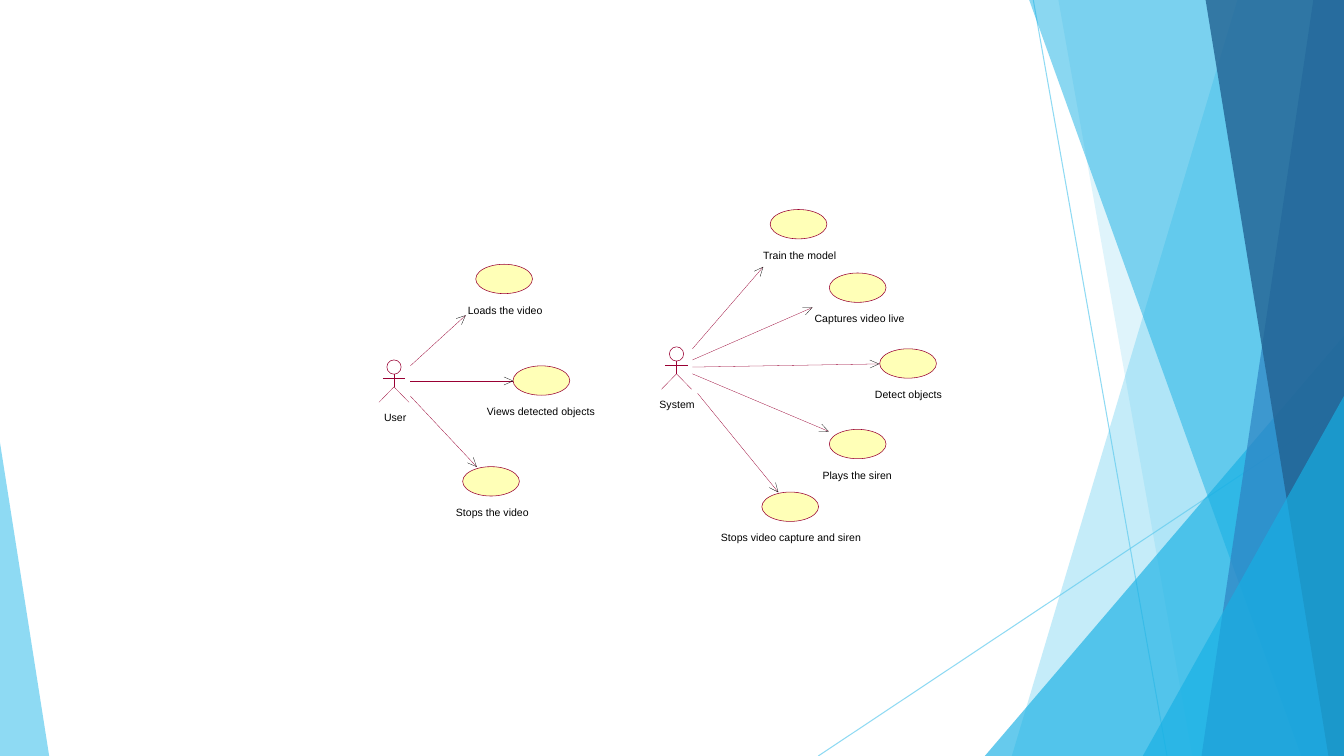
"""Build a use-case diagram slide with a faceted blue border."""
import math
from dataclasses import dataclass

import pptx
import pptx.dml.color
import pptx.enum.shapes
import pptx.oxml
import pptx.oxml.ns
import pptx.util
from pptx.util import Cm

Point = tuple[float, float]


@dataclass(frozen=True)
class Theme:
    sky: str = "5FCBEF"
    azure: str = "17B0E4"
    blue: str = "2E83C3"
    navy: str = "226292"
    outline: str = "990033"
    oval: str = "FFFFB7"
    ink: str = "000000"
    font: str = "Arial"
    label_size: float = 7.5
    thin: float = 0.2
    outline_width: float = 0.4
    border_line: float = 0.75


@dataclass(frozen=True)
class Band:
    top_x: float
    bottom_x: float
    color: str
    opacity: int


@dataclass(frozen=True)
class Wedge:
    left: float
    top: float
    width: float
    apex: float
    color: str
    opacity: int


@dataclass(frozen=True)
class UseCase:
    name: str
    left: float
    top: float
    label_left: float
    label_width: float
    start: Point
    tip: Point


@dataclass(frozen=True)
class Actor:
    name: str
    center: float
    top: float
    label_left: float
    label_width: float


THEME = Theme()
WIDTH, HEIGHT = 33.87, 19.05
BORDER_LINES: list[tuple[Point, Point]] = [
    ((26.04, 0), (29.41, HEIGHT)),
    ((WIDTH, 10.24), (20.62, HEIGHT)),
]
FACETS: list[Band | Wedge] = [
    Band(31.19, 25.50, THEME.sky, 36),
    Band(26.67, 30.05, THEME.sky, 20),
    Wedge(24.82, 8.46, 9.05, 1, THEME.azure, 66),
    Band(25.93, 32.79, THEME.azure, 50),
    Band(33.10, 30.28, THEME.blue, 70),
    Band(30.38, 33.48, THEME.navy, 80),
    Wedge(28.80, 9.98, 5.07, 1, THEME.azure, 66),
    Wedge(0, 11.15, 1.24, 0, THEME.sky, 70),
]
USE_CASES = [
    UseCase("Train the model", 19.41, 5.28, 19.20, 2.44, (17.45, 8.79), (19.23, 6.73)),
    UseCase("Captures video live", 20.90, 6.88, 20.50, 3.00, (17.45, 9.07), (20.47, 7.75)),
    UseCase("Detect objects", 22.17, 8.79, 22.02, 2.24, (17.45, 9.25), (22.15, 9.17)),
    UseCase("Plays the siren", 20.90, 10.82, 20.70, 2.31, (17.45, 9.42), (20.88, 10.87)),
    UseCase("Stops video capture and siren", 19.20, 12.40, 18.14, 4.65, (17.58, 9.91), (19.61, 12.40)),
    UseCase("Loads the video", 11.99, 6.66, 11.76, 2.49, (10.34, 9.22), (11.73, 7.95)),
    UseCase("Views detected objects", 12.93, 9.22, 12.24, 3.61, (10.34, 9.60), (12.93, 9.60)),
    UseCase("Stops the video", 11.66, 11.76, 11.46, 2.44, (10.34, 9.98), (12.01, 11.76)),
]
ACTORS = [
    Actor("System", 17.05, 8.74, 16.59, 1.17),
    Actor("User", 9.93, 9.07, 9.65, 0.74),
]


def rgb(color: str) -> pptx.dml.color.RGBColor:
    return pptx.dml.color.RGBColor.from_string(color)


def paint(fill, owner, color: str, opacity: int = 100) -> None:
    fill.solid()
    fill.fore_color.rgb = rgb(color)
    if opacity < 100:
        color_element = next(owner.iter(pptx.oxml.ns.qn("a:srgbClr")))
        alpha = pptx.oxml.parse_xml(f'<a:alpha {pptx.oxml.ns.nsdecls("a")} val="{opacity * 1000}"/>')
        color_element.append(alpha)


def style_shape(shape, fill: str | None = None, opacity: int = 100,
                line: str | None = None, width: float = THEME.thin) -> None:
    shape.shadow.inherit = False
    if fill:
        paint(shape.fill, shape._element.spPr, fill, opacity)
    else:
        shape.fill.background()
    if line:
        paint(shape.line.fill, shape._element.spPr, line)
        shape.line.width = pptx.util.Pt(width)
    else:
        shape.line.fill.background()


def add_line(slide, start: Point, end: Point, color: str = THEME.outline,
             width: float = THEME.thin, opacity: int = 100) -> None:
    connector = slide.shapes.add_connector(
        pptx.enum.shapes.MSO_CONNECTOR.STRAIGHT, *map(Cm, start + end))
    properties = connector._element.spPr
    paint(connector.line.fill, properties, color, opacity)
    connector.line.width = pptx.util.Pt(width)
    properties.append(pptx.oxml.parse_xml(f'<a:effectLst {pptx.oxml.ns.nsdecls("a")}/>'))


def add_path(slide, points: list[Point], close: bool = False, **style) -> None:
    first, *rest = [(Cm(x), Cm(y)) for x, y in points]
    builder = slide.shapes.build_freeform(*first)
    builder.add_line_segments(rest, close=close)
    style_shape(builder.convert_to_shape(), **style)


def add_oval(slide, left: float, top: float, width: float, height: float,
             fill: str | None = None) -> None:
    oval = slide.shapes.add_shape(
        pptx.enum.shapes.MSO_SHAPE.OVAL, Cm(left), Cm(top), Cm(width), Cm(height))
    style_shape(oval, fill, line=THEME.outline, width=THEME.outline_width)


def add_text(slide, text: str, *, left: float, top: float, width: float, height: float = 0.41,
             size: float = THEME.label_size, color: str = THEME.ink) -> None:
    frame = slide.shapes.add_textbox(Cm(left), Cm(top), Cm(width), Cm(height)).text_frame
    frame.word_wrap = True
    frame.margin_left = Cm(0.03)
    frame.margin_top = frame.margin_right = frame.margin_bottom = 0
    paragraph = frame.paragraphs[0]
    paragraph.text = text
    paragraph.line_spacing = 1.07
    paragraph.space_after = pptx.util.Pt(8)
    paragraph.font.name = THEME.font
    paragraph.font.size = pptx.util.Pt(size)
    paragraph.font.color.rgb = rgb(color)


def add_facet(slide, facet: Band | Wedge) -> None:
    if isinstance(facet, Band):
        corners = [(facet.top_x, -0.02), (WIDTH, -0.02), (WIDTH, HEIGHT), (facet.bottom_x, HEIGHT)]
        add_path(slide, corners, close=True, fill=facet.color, opacity=facet.opacity)
    else:
        wedge = slide.shapes.add_shape(
            pptx.enum.shapes.MSO_SHAPE.ISOSCELES_TRIANGLE,
            Cm(facet.left), Cm(facet.top), Cm(facet.width), Cm(HEIGHT - facet.top))
        wedge.adjustments[0] = facet.apex
        style_shape(wedge, facet.color, facet.opacity)


def add_arrow(slide, start: Point, tip: Point, barb: float = 0.25, spread: float = 24) -> None:
    add_line(slide, start, tip)
    heading = math.atan2(start[1] - tip[1], start[0] - tip[0])
    ends = [(tip[0] + barb * math.cos(heading + turn), tip[1] + barb * math.sin(heading + turn))
            for turn in (-math.radians(spread), math.radians(spread))]
    add_path(slide, [ends[0], tip, ends[1]], line=THEME.ink)


def add_use_case(slide, case: UseCase) -> None:
    add_oval(slide, case.left, case.top, 1.43, 0.74, THEME.oval)
    add_text(slide, case.name, left=case.label_left, top=case.top + 0.97, width=case.label_width)
    add_arrow(slide, case.start, case.tip)


def add_actor(slide, actor: Actor) -> None:
    x, top = actor.center, actor.top
    hip = (x, top + 0.68)
    add_oval(slide, x - 0.18, top, 0.36, 0.36)
    add_line(slide, (x, top + 0.36), hip)
    add_line(slide, (x - 0.28, top + 0.46), (x + 0.28, top + 0.46))
    add_path(slide, [(x - 0.38, top + 1.07), hip, (x + 0.38, top + 1.07)], line=THEME.outline)
    add_text(slide, actor.name, left=actor.label_left, top=top + 1.27, width=actor.label_width)


def main() -> None:
    presentation = pptx.Presentation()
    presentation.slide_width, presentation.slide_height = Cm(WIDTH), Cm(HEIGHT)
    slide = presentation.slides.add_slide(presentation.slide_layouts[6])
    for start, end in BORDER_LINES:
        add_line(slide, start, end, THEME.sky, THEME.border_line, 70)
    for facet in FACETS:
        add_facet(slide, facet)
    for case in USE_CASES:
        add_use_case(slide, case)
    for actor in ACTORS:
        add_actor(slide, actor)
    presentation.save("out.pptx")


if __name__ == "__main__":
    main()
